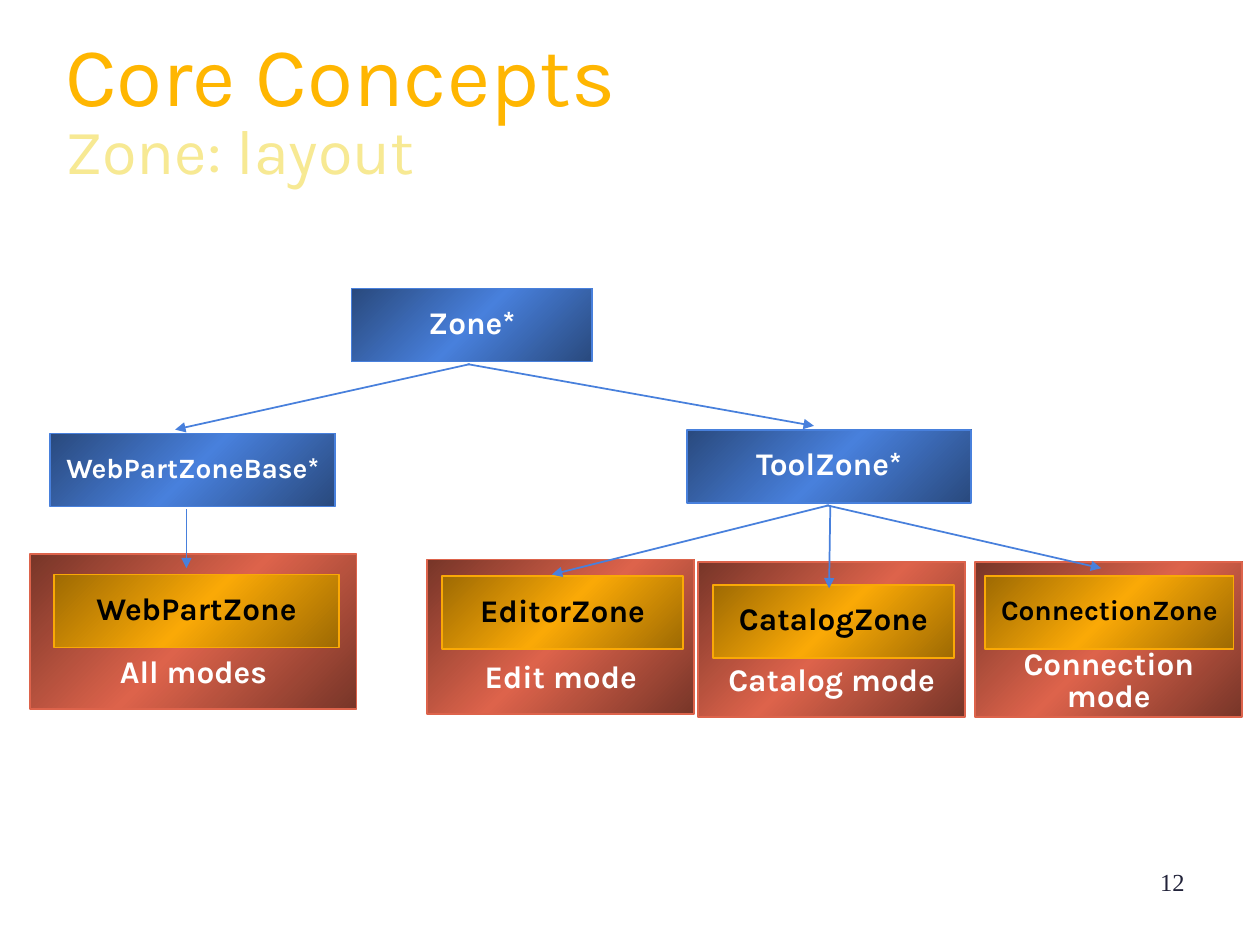
"""Build the Core Concepts slide showing the zone class tree."""
import copy

import pptx
import pptx.dml.color
import pptx.enum.shapes
import pptx.enum.text
import pptx.oxml
import pptx.oxml.ns
import pptx.oxml.xmlchemy
import pptx.util

Inches, Pt = pptx.util.Inches, pptx.util.Pt
ALIGN = pptx.enum.text.PP_ALIGN
ANCHOR = pptx.enum.text.MSO_ANCHOR

TITLE = [("Core Concepts", 48, "FFB601"), ("Zone: layout", 36, "F7E993")]
STYLES = {
    "mode": {"dark": "773528", "light": "DD634B", "ink": "FFFFFF", "high": 1.23, "top": 0.72},
    "base": {"dark": "29497D", "light": "4880DC", "ink": "FFFFFF", "high": 0.58, "top": 0.05},
    "zone": {"dark": "9E6A03", "light": "FAA906", "ink": "000000", "high": 0.58, "top": 0.05},
}
BOXES = [
    ("mode", "Edit mode", 18, 3.39, 4.44, 2.12),
    ("mode", "Connection mode", 18, 7.74, 4.46, 2.12),
    ("mode", "Catalog mode", 18, 5.54, 4.46, 2.12),
    ("mode", "All modes", 18, 0.24, 4.4, 2.59),
    ("base", "Zone*", 18, 2.79, 2.29, 1.91),
    ("base", "WebPartZoneBase*", 16, 0.4, 3.44, 2.26),
    ("base", "ToolZone*", 18, 5.45, 3.41, 2.26),
    ("zone", "CatalogZone", 18, 5.66, 4.64, 1.91),
    ("zone", "WebPartZone", 18, 0.43, 4.56, 2.26),
    ("zone", "EditorZone", 18, 3.51, 4.57, 1.91),
    ("zone", "ConnectionZone", 16, 7.82, 4.57, 1.97),
]
ARROWS = [
    (6.58, 4.01, 4.38, 4.56),
    (6.59, 4.01, 6.58, 4.67),
    (6.56, 4.01, 8.74, 4.51),
    (3.71, 2.89, 6.46, 3.38),
    (3.73, 2.89, 1.39, 3.41),
    (1.48, 4.04, 1.48, 4.51),
]
SHADOW = (
    '<a:effectLst xmlns:a="http://schemas.openxmlformats.org/drawingml/2006/main">'
    '<a:outerShdw dist="35921" dir="2700000"><a:srgbClr val="000000"/></a:outerShdw>'
    "</a:effectLst>"
)


def paint(hue):
    return pptx.dml.color.RGBColor.from_string(hue)


def apply(item, form):
    for name, value in form.items():
        setattr(item, name, value)


def write(para, text, size, hue, face="Karla", bold=False):
    run = para.add_run()
    run.text = text
    apply(run.font, {"size": Pt(size), "name": face, "bold": bold})
    run.font.color.rgb = paint(hue)
    return run


def frame(shape, anchor, top=0.05):
    form = {"word_wrap": True, "vertical_anchor": anchor, "margin_top": Inches(top),
            "margin_bottom": Inches(0.05), "margin_left": Inches(0.1), "margin_right": Inches(0.1)}
    apply(shape.text_frame, form)
    return shape.text_frame.paragraphs[0]


def stroke(line, hue):
    line.color.rgb = paint(hue)
    line.width = Pt(1)


def shade(shape, dark, light):
    fill = shape.fill
    fill.gradient()
    fill.gradient_angle = 135
    stops = shape._element.spPr.find(".//" + pptx.oxml.ns.qn("a:gsLst"))
    stops.append(copy.deepcopy(stops[0]))
    for stop, hue, place in zip(fill.gradient_stops, (dark, light, dark), (0, 0.5, 1)):
        stop.color.rgb = paint(hue)
        stop.position = place


def add_title(slide):
    box = slide.shapes.add_textbox(*map(Inches, (0.42, 0.25, 9.18, 1.29)))
    para = frame(box, ANCHOR.TOP)
    para.line_spacing = 0.85
    for row, (text, size, hue) in enumerate(TITLE):
        if row:
            para.add_line_break()
        run = write(para, text, size, hue)
        fill = run._r.rPr.find(pptx.oxml.ns.qn("a:solidFill"))
        fill.addnext(pptx.oxml.parse_xml(SHADOW))


def add_box(slide, kind, text, size, left, top, wide):
    style = STYLES[kind]
    place = map(Inches, (left, top, wide, style["high"]))
    box = slide.shapes.add_shape(pptx.enum.shapes.MSO_SHAPE.RECTANGLE, *place)
    box.shadow.inherit = False
    shade(box, style["dark"], style["light"])
    stroke(box.line, style["light"])
    para = frame(box, ANCHOR.MIDDLE, style["top"])
    apply(para, {"alignment": ALIGN.CENTER, "line_spacing": 0.85})
    write(para, text, size, style["ink"], bold=True)


def add_arrow(slide, ends):
    kind = pptx.enum.shapes.MSO_CONNECTOR.STRAIGHT
    arrow = slide.shapes.add_connector(kind, *map(Inches, ends))
    stroke(arrow.line, STYLES["base"]["light"])
    tail = pptx.oxml.xmlchemy.OxmlElement("a:tailEnd")
    tail.set("type", "triangle")
    arrow.get_or_add_ln().append(tail)
    arrow._element.spPr.append(pptx.oxml.xmlchemy.OxmlElement("a:effectLst"))


def main():
    deck = pptx.Presentation()
    apply(deck, {"slide_width": Inches(10), "slide_height": Inches(7.5)})
    slide = deck.slides.add_slide(deck.slide_layouts[6])
    add_title(slide)
    for box in BOXES:
        add_box(slide, *box)
    for ends in ARROWS:
        add_arrow(slide, ends)
    page = slide.shapes.add_textbox(*map(Inches, (7.17, 6.83, 2.33, 0.52)))
    para = frame(page, ANCHOR.TOP)
    para.alignment = ALIGN.RIGHT
    write(para, "12", 14, "22233A", "Times New Roman")
    deck.save("out.pptx")


if __name__ == "__main__":
    main()
